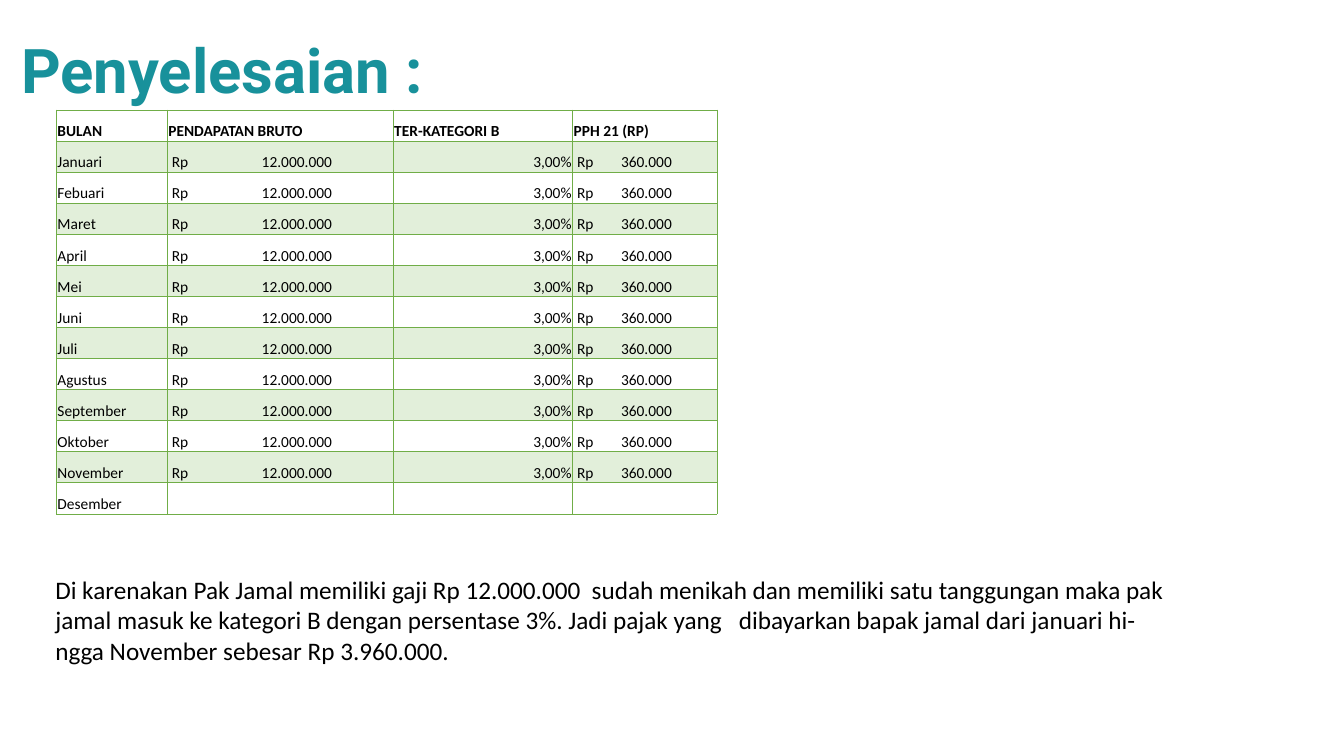
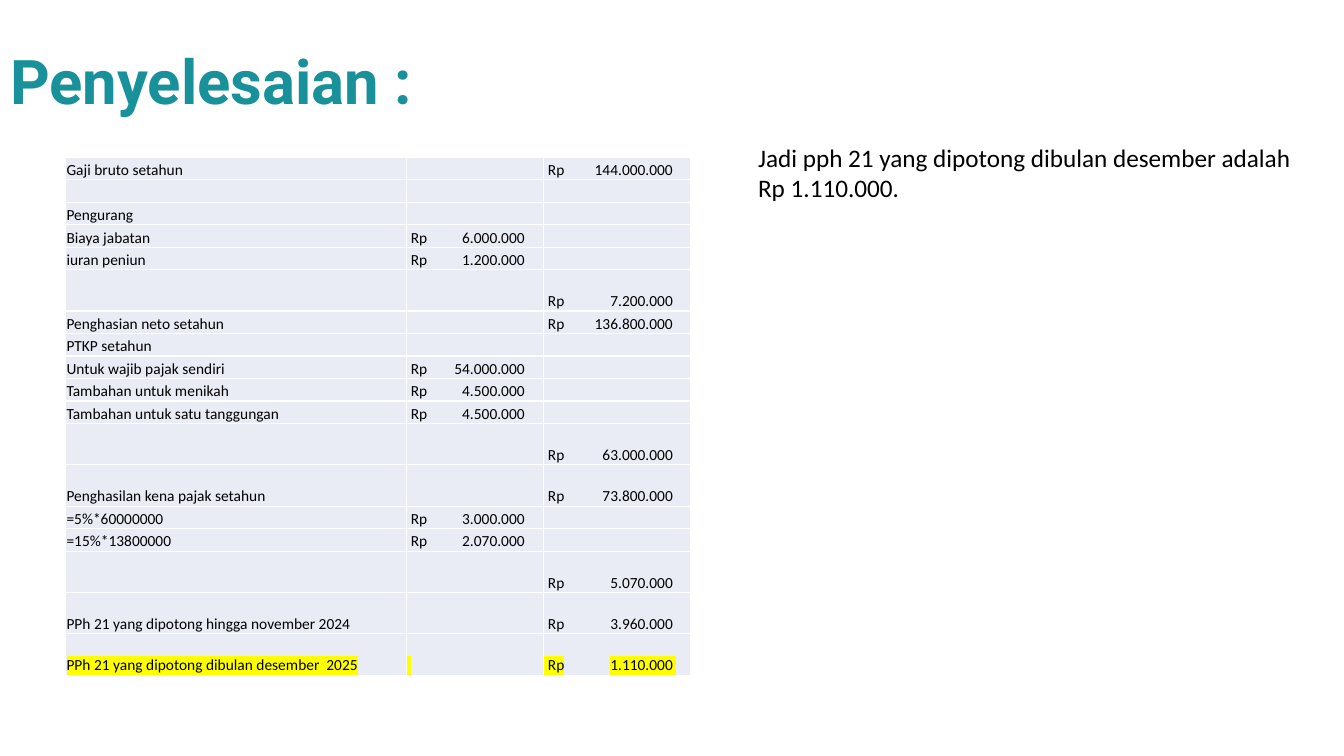
from lxml import etree
from pptx import Presentation
from pptx import util as u
from pptx.dml.color import RGBColor
from pptx.enum import text
from pptx.oxml.ns import qn

TEAL, BLACK, WHITE = "18919B", "000000", "FFFFFF"
GREEN, PALE_GREEN, PALE_BLUE, YELLOW = "70AD47", "E2EFDA", "E9EBF5", "FFFF00"
TITLE_FONT, BODY_FONT = "Roboto", "Calibri"
CELL_SIZE = 11

MONTHS = ["Januari", "Febuari", "Maret", "April", "Mei", "Juni", "Juli",
          "Agustus", "September", "Oktober", "November"]
MONTHLY_ROWS = [
    ["BULAN", "PENDAPATAN BRUTO", "TER-KATEGORI B", "PPH 21 (RP)"],
    *([month, 12000000, "3,00%", 360000] for month in MONTHS),
    ["Desember", "", "", ""],
]
# Each row: label, part amount, total amount
ANNUAL_ROWS = [
    ["Gaji bruto setahun", "", 144000000],
    ["", "", ""],
    ["Pengurang", "", ""],
    ["Biaya jabatan", 6000000, ""],
    ["iuran peniun", 1200000, ""],
    ["", "", 7200000],
    ["Penghasian neto setahun", "", 136800000],
    ["PTKP setahun", "", ""],
    ["Untuk wajib pajak sendiri", 54000000, ""],
    ["Tambahan untuk menikah", 4500000, ""],
    ["Tambahan untuk satu tanggungan", 4500000, ""],
    ["", "", 63000000],
    ["Penghasilan kena pajak setahun", "", 73800000],
    ["=5%*60000000", 3000000, ""],
    ["=15%*13800000", 2070000, ""],
    ["", "", 5070000],
    ["PPh 21 yang dipotong hingga november 2024", "", 3960000],
    ["PPh 21 yang dipotong dibulan desember  2025", " ", 1110000],
]
TALL_ROWS = {5, 11, 12, 15, 16, 17}


def rgb(hex_color):
    return RGBColor.from_string(hex_color)


def add_run(p, words, size, color=BLACK, font=BODY_FONT, bold=False):
    r = p.add_run()
    r.text = words
    r.font.size, r.font.name, r.font.bold = u.Pt(size), font, bold
    r.font.color.rgb = rgb(color)
    return r


def highlight(r, color):
    mark = etree.Element(qn("a:highlight"))
    etree.SubElement(mark, qn("a:srgbClr"), val=color)
    r.font._element.find(qn("a:solidFill")).addnext(mark)


def add_right_tab(p, pos):
    tabs = etree.SubElement(p._p.get_or_add_pPr(), qn("a:tabLst"))
    etree.SubElement(tabs, qn("a:tab"), pos=str(u.Inches(pos)), algn="r")


def add_titled_slide(prs, left, top):
    s = prs.slides.add_slide(prs.slide_layouts[5])
    sp = s.shapes.title
    sp.left, sp.top = u.Inches(left), u.Inches(top)
    sp.width, sp.height = u.Inches(11.5), u.Inches(1.45)
    tf = sp.text_frame
    tf.auto_size = text.MSO_AUTO_SIZE.NONE
    tf.vertical_anchor = text.MSO_ANCHOR.MIDDLE
    p = tf.paragraphs[0]
    p.alignment, p.line_spacing = text.PP_ALIGN.LEFT, 0.9
    add_run(p, "Penyelesaian :", 44, TEAL, TITLE_FONT, True)
    return s


def add_note(s, box, lines):
    tf = s.shapes.add_textbox(*map(u.Inches, box)).text_frame
    tf.word_wrap = True
    for i, line in enumerate(lines):
        p = tf.add_paragraph() if i else tf.paragraphs[0]
        add_run(p, line, 18)


def set_borders(cell, color, width):
    tc_pr = cell._tc.get_or_add_tcPr()
    for i, side in enumerate(("lnL", "lnR", "lnT", "lnB")):
        ln = etree.Element(qn(f"a:{side}"), w=str(u.Pt(width)))
        fill = etree.SubElement(ln, qn("a:solidFill"))
        etree.SubElement(fill, qn("a:srgbClr"), val=color)
        tc_pr.insert(i, ln)


def fill_cell(cell, value, tab, bold, mark):
    """Write text, or a whole number as rupiah set against a right tab."""
    cell.margin_left = cell.margin_right = cell.margin_top = u.Inches(0.01)
    cell.margin_bottom = 0
    cell.vertical_anchor = text.MSO_ANCHOR.BOTTOM
    p = cell.text_frame.paragraphs[0]
    if value == "":
        etree.SubElement(p._p, qn("a:endParaRPr"), sz=str(CELL_SIZE * 100))
        return
    if isinstance(value, int):
        add_right_tab(p, tab)
        value = " Rp\t" + f"{value:,} ".replace(",", ".")
    elif value.endswith("%"):
        p.alignment = text.PP_ALIGN.RIGHT
    r = add_run(p, value, CELL_SIZE, bold=bold)
    if mark:
        highlight(r, mark)


def add_grid(s, left, top, cols, heights, rows, border, row_fill, tabs,
             header=False, last_mark=None):
    """row_fill gives a row's colour, or None; tabs maps column to tab stop."""
    frame = s.shapes.add_table(len(rows), len(cols), u.Inches(left), u.Inches(top),
                               u.Inches(sum(cols)), u.Inches(sum(heights)))
    table = frame.table
    table.first_row = table.horz_banding = False
    for col, width in zip(table.columns, cols):
        col.width = u.Inches(width)
    for i, values in enumerate(rows):
        table.rows[i].height = u.Inches(heights[i])
        mark = last_mark if i == len(rows) - 1 else None
        for j, value in enumerate(values):
            cell = table.cell(i, j)
            fill_cell(cell, value, tabs.get(j), header and i == 0, mark)
            color = row_fill(i)
            if color:
                cell.fill.solid()
                cell.fill.fore_color.rgb = rgb(color)
            else:
                cell.fill.background()
            set_borders(cell, *border)


def build_monthly_slide(prs):
    s = add_titled_slide(prs, 0.11, 0)
    add_note(s, (0.45, 5.65, 11.38, 1.01), [
        "Di karenakan Pak Jamal memiliki gaji Rp 12.000.000  sudah menikah dan memiliki satu tanggungan maka pak",
        "jamal masuk ke kategori B dengan persentase 3%. Jadi pajak yang   dibayarkan bapak jamal dari januari hi-",
        "ngga November sebesar Rp 3.960.000.",
    ])
    count = len(MONTHLY_ROWS)
    add_grid(s, 0.56, 1.09, [1.1, 2.24, 1.78, 1.43], [4.01 / count] * count,
             MONTHLY_ROWS, (GREEN, 0.5), lambda i: PALE_GREEN if i % 2 else None,
             {1: 1.66, 3: 1.01}, header=True)


def build_annual_slide(prs):
    s = add_titled_slide(prs, 0, 0.11)
    add_note(s, (7.42, 1.36, 5.61, 0.71), [
        "Jadi pph 21 yang dipotong dibulan desember adalah",
        "Rp 1.110.000.",
    ])
    count, tall = len(ANNUAL_ROWS), 0.41
    short = (5.14 - tall * len(TALL_ROWS)) / (count - len(TALL_ROWS))
    heights = [tall if i in TALL_ROWS else short for i in range(count)]
    add_grid(s, 0.65, 1.56, [3.38, 1.36, 1.46], heights, ANNUAL_ROWS,
             (WHITE, 1), lambda i: PALE_BLUE, {1: 1.2, 2: 1.31}, last_mark=YELLOW)


def main():
    prs = Presentation()
    prs.slide_width, prs.slide_height = u.Inches(13.33), u.Inches(7.5)
    build_monthly_slide(prs)
    build_annual_slide(prs)
    prs.save("out.pptx")


if __name__ == "__main__":
    main()
